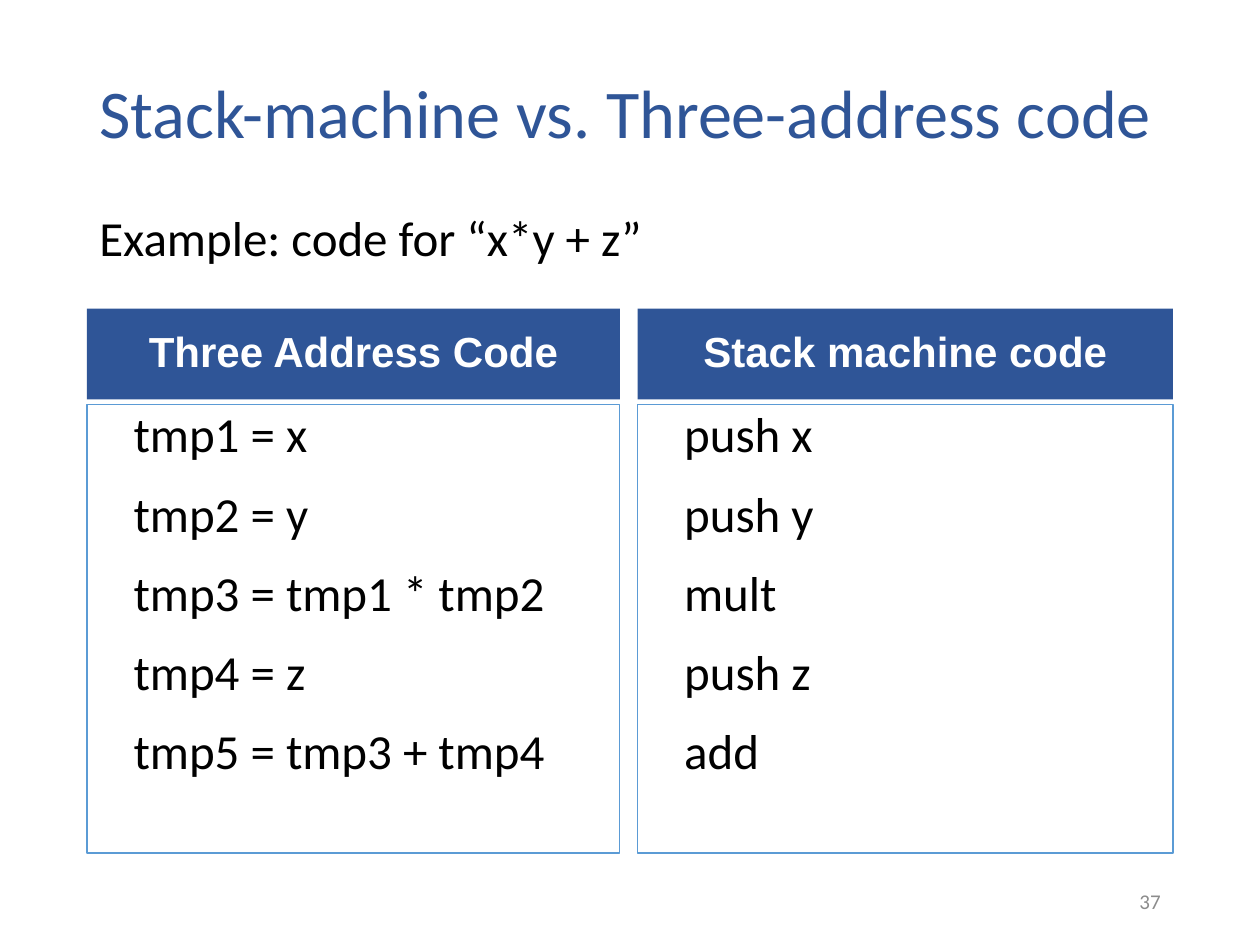
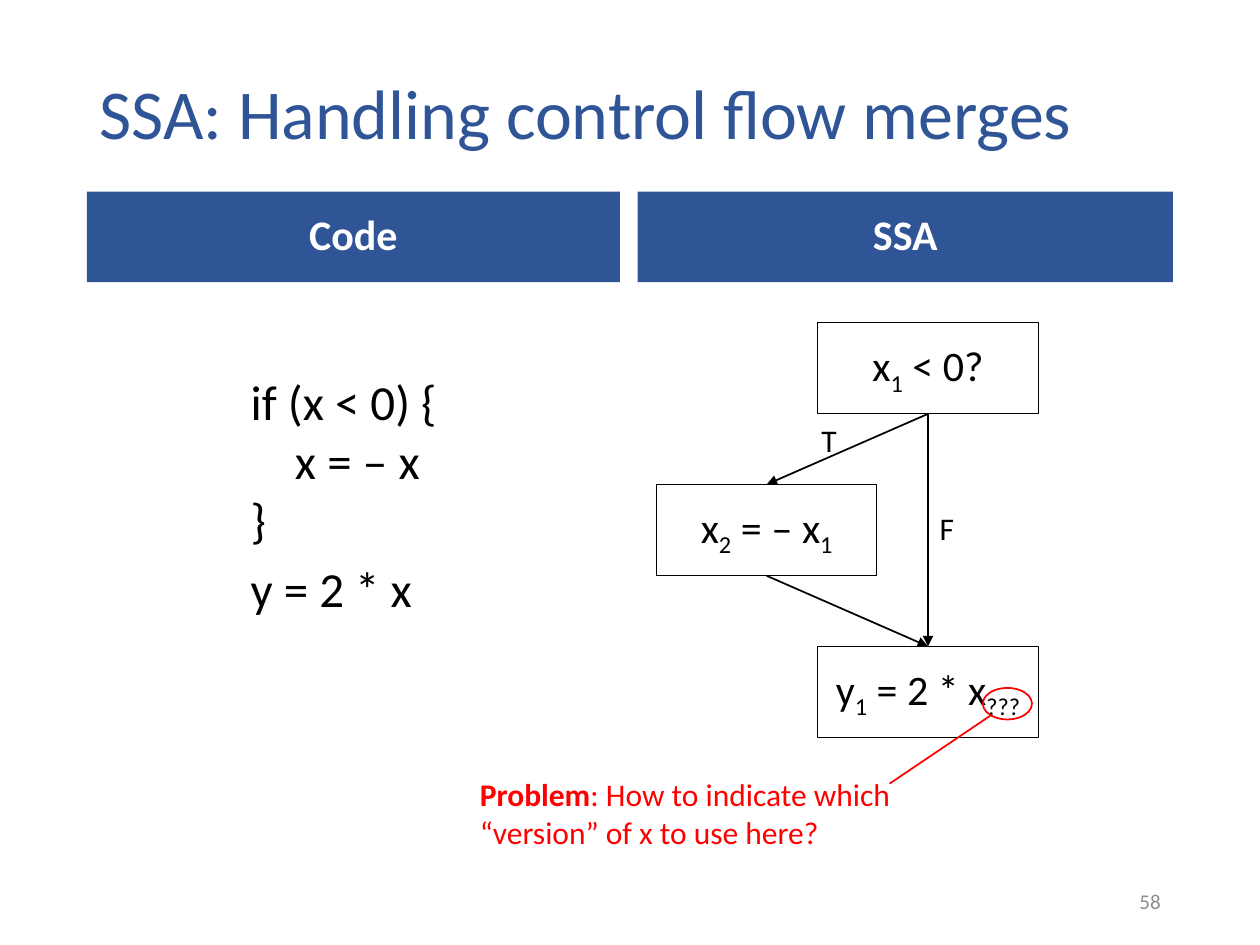
from lxml import etree
from pptx import Presentation
from pptx import util as u
from pptx.dml.color import RGBColor
from pptx.enum import shapes, text
from pptx.oxml.ns import qn

COLUMNS, ROWS = 100, 75
BLUE, SKY, RED = "2F5597", "5B9BD5", "FF0000"
BLACK, WHITE, GREY = "000000", "FFFFFF", "8C8C8C"

MARGIN, CONTENT_WIDTH = 6.9, 86.2
PANELS = ((MARGIN, 42.3), (50.6, 42.5))  # left and width of the two halves
HEADER_HEIGHT = 7.2
NODE_WIDTH, NODE_HEIGHT = 17.5, 7.25

CENTER, RIGHT = text.PP_ALIGN.CENTER, text.PP_ALIGN.RIGHT
TOP, MIDDLE = text.MSO_ANCHOR.TOP, text.MSO_ANCHOR.MIDDLE
RECT, OVAL = shapes.MSO_SHAPE.RECTANGLE, shapes.MSO_SHAPE.OVAL


def rgb(value):
    return RGBColor.from_string(value)


def sub(label):
    """A run set as a subscript."""
    return label, {"baseline": -25}


def write(shape, paragraphs, size=28, font="Calibri", color=BLACK, bold=False,
          align=text.PP_ALIGN.LEFT, anchor=TOP, wrap=True, spacing=None,
          before=0, after=0, insets=(0.1, 0.05, 0.1, 0.05)):
    """Fill a shape with paragraphs; each is a string or a list of runs."""
    tf = shape.text_frame
    tf.word_wrap = wrap
    tf.vertical_anchor = anchor
    (tf.margin_left, tf.margin_top,
     tf.margin_right, tf.margin_bottom) = map(u.Inches, insets)
    for i, runs in enumerate(paragraphs):
        p = tf.add_paragraph() if i else tf.paragraphs[0]
        p.alignment = align
        p.line_spacing = spacing
        p.space_before = u.Pt(before if i else 0)
        p.space_after = u.Pt(after)
        for run in [runs] if isinstance(runs, str) else runs:
            words, own = (run, {}) if isinstance(run, str) else run
            r = p.add_run()
            r.text = words
            r.font.name = font
            r.font.size = u.Pt(size)
            r.font.bold = own.get("bold", bold)
            r.font.color.rgb = rgb(color)
            if "baseline" in own:
                r.font._element.set("baseline", str(own["baseline"] * 1000))


class Deck:
    BODY = dict(spacing=0.9, before=10, after=5)

    def __init__(self):
        self.prs = Presentation()
        self.prs.slide_width, self.prs.slide_height = u.Inches(10), u.Inches(7.5)
        self.s = None

    def x(self, columns):
        return round(self.prs.slide_width * columns / COLUMNS)

    def y(self, rows):
        return round(self.prs.slide_height * rows / ROWS)

    def place(self, left, top, width, height):
        return self.x(left), self.y(top), self.x(width), self.y(height)

    def slide(self, title, number, title_size=40):
        self.s = self.prs.slides.add_slide(self.prs.slide_layouts[6])
        self.text((MARGIN, 4, CONTENT_WIDTH, 10.5), [title], size=title_size,
                  color=BLUE, anchor=MIDDLE, spacing=0.9)
        self.text((70.6, 69.5, 22.5, 4), [str(number)], size=12, color=GREY,
                  align=RIGHT, anchor=MIDDLE)

    def text(self, area, paragraphs, **fmt):
        write(self.s.shapes.add_textbox(*self.place(*area)), paragraphs, **fmt)

    def shape(self, area, kind=RECT, fill=None, line=None, weight=1.0):
        sp = self.s.shapes.add_shape(kind, *self.place(*area))
        sp.shadow.inherit = False
        if fill:
            sp.fill.solid()
            sp.fill.fore_color.rgb = rgb(fill)
        else:
            sp.fill.background()
        if line:
            sp.line.color.rgb = rgb(line)
            sp.line.width = u.Pt(weight)
        else:
            sp.line.fill.background()
        return sp

    def headers(self, top, labels, font="Calibri"):
        for (left, width), label in zip(PANELS, labels):
            write(self.shape((left, top, width, HEADER_HEIGHT), fill=BLUE),
                  [label], size=24, font=font, color=WHITE, bold=True,
                  align=CENTER, anchor=MIDDLE, **self.BODY)

    def node(self, left, top, runs):
        sp = self.shape((left, top, NODE_WIDTH, NODE_HEIGHT),
                        line=BLACK, weight=0.5)
        write(sp, [runs], size=24, align=CENTER, anchor=MIDDLE)
        return sp

    def line(self, start=(0, 0), end=(0, 0), color=BLACK):
        cx = self.s.shapes.add_connector(
            shapes.MSO_CONNECTOR.STRAIGHT, self.x(start[0]), self.y(start[1]),
            self.x(end[0]), self.y(end[1]))
        cx.line.color.rgb = rgb(color)
        cx.line.width = u.Pt(1)
        etree.SubElement(cx._element.spPr, qn("a:effectLst"))
        return cx

    def flow(self, source, target):
        """Arrow from the bottom of one node to the top of another."""
        cx = self.line()
        cx.begin_connect(source, 2)
        cx.end_connect(target, 0)
        etree.SubElement(cx.line._get_or_add_ln(), qn("a:tailEnd"), type="triangle")


def code_comparison(deck):
    deck.slide("Stack-machine vs. Three-address code", 37, title_size=39)
    deck.headers(24.5, ("Three Address Code", "Stack machine code"), font="Arial")
    listings = (
        ("tmp1 = x", "tmp2 = y", "tmp3 = tmp1 * tmp2", "tmp4 = z",
         "tmp5 = tmp3 + tmp4"),
        ("push x", "push y", "mult", "push z", "add"),
    )
    for (left, width), listing in zip(PANELS, listings):
        write(deck.shape((left, 32.1, width, 35.6), line=SKY, weight=0.75),
              listing, insets=(0.37, 0.05, 0.1, 0.05), **deck.BODY)
    deck.text((MARGIN, 15.5, CONTENT_WIDTH, 7.2), ["Example: code for “x*y + z”"],
              anchor=MIDDLE, **deck.BODY)


def control_flow_merge(deck):
    deck.slide("SSA: Handling control flow merges", 58)
    deck.headers(15.2, ("Code", "SSA"))
    left, width = PANELS[0]
    code = dict(insets=(1.3, 0.6, 0.1, 0.05), after=0)
    deck.text((left, 23.5, width, 44.2),
              ["if (x < 0) {", "    x = ‒ x", "}", "y = 2 * x"], **code)
    closing = deck.s.shapes[-1].text_frame.paragraphs[2:]
    for p in closing:
        p.space_after = u.Pt(6)

    test_row, row_step = 25.6, 12.85
    test = deck.node(64.9, test_row, ["x", sub("1"), " < 0?"])
    negate = deck.node(52.1, test_row + row_step,
                       ["x", sub("2"), " = ‒ x", sub("1")])
    merge = deck.node(64.9, test_row + 2 * row_step,
                      ["y", sub("1"), " = 2 * x", sub("???")])
    for source, target in ((test, negate), (test, merge), (negate, merge)):
        deck.flow(source, target)
    deck.text((64.2, 32.9, 3.2, 4), ["T"], size=18, wrap=False)
    deck.text((73.6, 39.9, 3.4, 4), ["F"], size=18)

    deck.shape((78, 54.6, 3.9, 2.5), kind=OVAL, line=RED)
    deck.text((37.1, 61, 34.7, 7.1),
              [[("Problem", {"bold": True}),
                ": How to indicate which “version” of x to use here?"]],
              size=18, color=RED)
    deck.line((78.6, 56.8), (70.6, 62.2), color=RED)


def main():
    deck = Deck()
    code_comparison(deck)
    control_flow_merge(deck)
    deck.prs.save("out.pptx")


if __name__ == "__main__":
    main()
